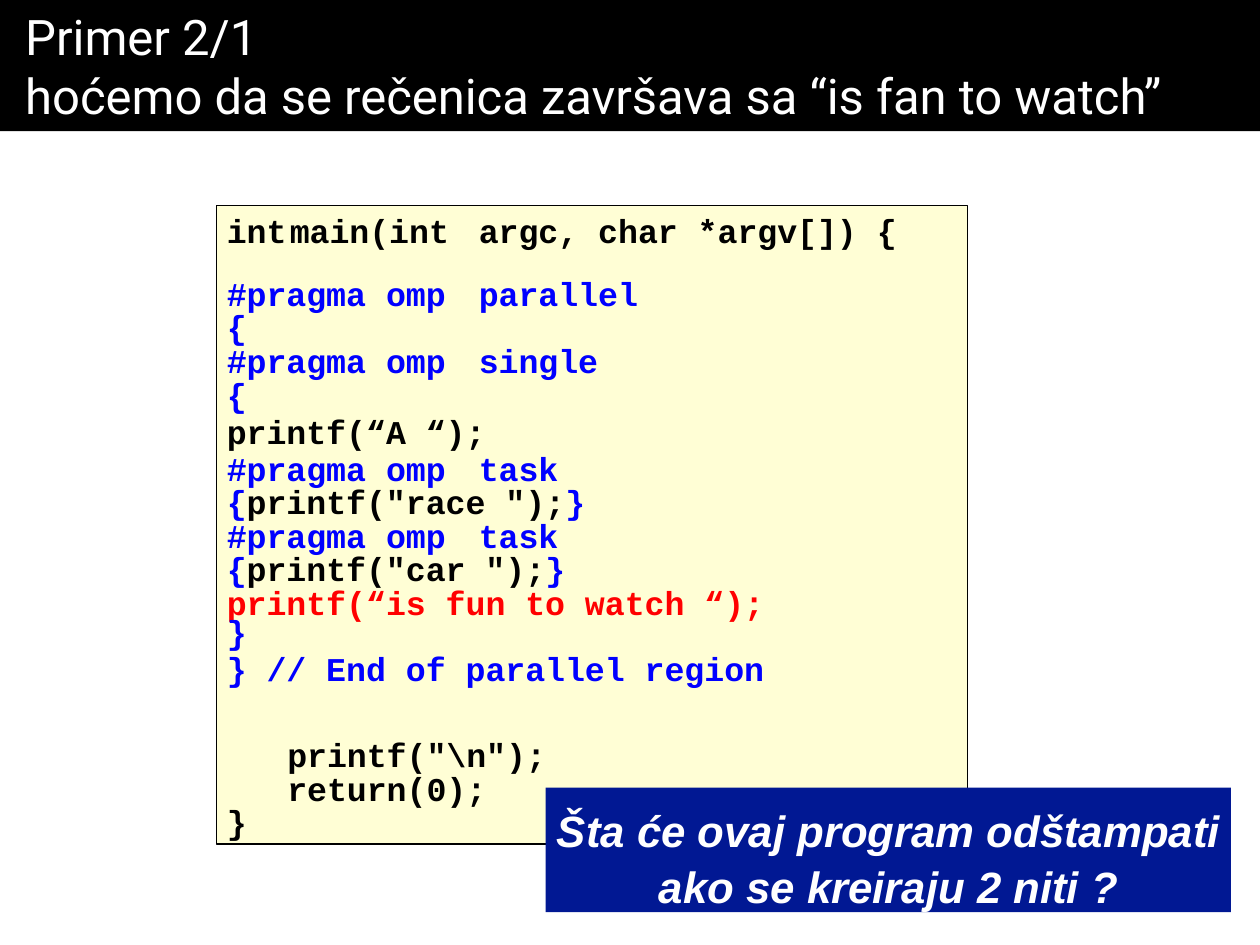
from lxml.etree import SubElement
from pptx import Presentation
from pptx.dml.color import RGBColor
from pptx.enum.shapes import MSO_SHAPE
from pptx.enum.text import MSO_ANCHOR, MSO_AUTO_SIZE, PP_ALIGN
from pptx.oxml.ns import qn
from pptx.util import Inches, Pt

BLACK = RGBColor(0x00, 0x00, 0x00)
WHITE = RGBColor(0xFF, 0xFF, 0xFF)
BLUE = RGBColor(0x00, 0x00, 0xFF)
RED = RGBColor(0xFF, 0x00, 0x00)
CREAM = RGBColor(0xFF, 0xFE, 0xD5)
NAVY = RGBColor(0x01, 0x18, 0x93)

TITLE = "Primer 2/1\vhoćemo da se rečenica završava sa “is fan to watch”"
QUESTION = "Šta će ovaj program odštampati ako se kreiraju 2 niti ?"
CODE_TABS = (0.65, 2.1)

# Each line: runs of (text, colour), line spacing and space before in points
MAIN_CODE = [
    ([("int\tmain(int\targc, char *argv[]) {", BLACK)], None, 0.9),
    ([("#pragma omp\tparallel", BLUE)], 21.2, 14.6),
    ([("{", BLUE)], 19.2, 0),
    ([("#pragma omp\tsingle", BLUE)], 19.2, 0),
    ([("{", BLUE)], 19.2, 0),
    ([("printf(“A “);", BLACK)], 19.2, 2),
    ([("#pragma omp\ttask", BLUE)], 19.2, 2),
    ([("{", BLUE), ('printf("race ");', BLACK), ("}", BLUE)], 19.2, 0),
    ([("#pragma omp\ttask", BLUE)], 19.2, 0),
    ([("{", BLUE), ('printf("car ");', BLACK), ("}", BLUE)], 19.2, 0),
    ([("printf(“is fun to watch “);", RED)], 19.2, 0),
    ([("}", BLUE)], 16.5, 0),
    ([("} // End of parallel region", BLUE)], 21.2, 0),
]
ENDING_CODE = [
    ([('printf("\\n");', BLACK)], 19.2, 4.8),
    ([("return(0);", BLACK)], 19.2, 0),
]
CLOSING_CODE = [([("}", BLACK)], None, 0.9)]

# Each block: lines, position and size, top inset
CODE_BLOCKS = [
    (MAIN_CODE, (1.79, 1.66, 5.51, 3.81), 0.01),
    (ENDING_CODE, (2.27, 5.8, 2.32, 0.61), 0.08),
    (CLOSING_CODE, (1.79, 6.35, 0.18, 0.33), 0.01),
]


def place(shape, box):
    """Move and size a shape to a box in inches."""
    shape.left, shape.top, shape.width, shape.height = map(Inches, box)


def set_frame(shape, side=0, top=0, bottom=0, anchor=MSO_ANCHOR.TOP):
    """Set wrapping, insets in inches and anchor; return the text frame."""
    frame = shape.text_frame
    frame.word_wrap = True
    frame.auto_size = MSO_AUTO_SIZE.NONE
    frame.margin_left = frame.margin_right = Inches(side)
    frame.margin_top, frame.margin_bottom = Inches(top), Inches(bottom)
    frame.vertical_anchor = anchor
    return frame


def write(paragraph, runs, *, font, size, bold=False, italic=False,
          align=PP_ALIGN.LEFT, line_spacing=None, before=0, indent=0, tabs=()):
    """Fill a paragraph with (text, colour) runs and format it."""
    for text, color in runs:
        first = len(paragraph.runs)
        if "\v" in text:
            paragraph.text = text
        else:
            paragraph.add_run().text = text
        for run in paragraph.runs[first:]:
            run.font.name, run.font.size = font, Pt(size)
            run.font.bold, run.font.italic = bold, italic
            run.font.color.rgb = color
    paragraph.alignment = align
    paragraph.line_spacing = line_spacing
    paragraph.space_before = Pt(before)
    properties = paragraph._p.get_or_add_pPr()
    properties.set("marL", str(Inches(indent)))
    properties.set("indent", "0")
    if tabs:
        tab_list = SubElement(properties, qn("a:tabLst"))
        for position in tabs:
            SubElement(tab_list, qn("a:tab"), pos=str(Inches(position)), algn="l")


def add_panel(slide, box, fill, line=None):
    """Add a flat rectangle with an optional thin outline."""
    panel = slide.shapes.add_shape(MSO_SHAPE.RECTANGLE, *map(Inches, box))
    panel.shadow.inherit = False
    panel.fill.solid()
    panel.fill.fore_color.rgb = fill
    if line is None:
        panel.line.fill.background()
    else:
        panel.line.color.rgb = line
        panel.line.width = Pt(0.74)
    return panel


def add_code(slide, lines, box, top):
    """Add a text box holding lines of code."""
    frame = set_frame(slide.shapes.add_textbox(*map(Inches, box)), top=top)
    for index, (runs, spacing, before) in enumerate(lines):
        paragraph = frame.add_paragraph() if index else frame.paragraphs[0]
        write(paragraph, runs, font="Courier New", size=19, bold=True,
              line_spacing=Pt(spacing) if spacing else None,
              before=before, indent=0.01, tabs=CODE_TABS)


presentation = Presentation()
presentation.slide_width, presentation.slide_height = Inches(10), Inches(7.5)
slide = presentation.slides.add_slide(presentation.slide_layouts[5])

title = slide.shapes.title
place(title, (0, 0, 10, 1.04))
title.fill.solid()
title.fill.fore_color.rgb = BLACK
title_frame = set_frame(title, 0.2, 0.05, 0.05, MSO_ANCHOR.MIDDLE)
write(title_frame.paragraphs[0], [(TITLE, WHITE)], font="Roboto", size=28)

add_panel(slide, (1.72, 1.63, 5.96, 5.07), CREAM, BLACK)
for lines, box, top in CODE_BLOCKS:
    add_code(slide, lines, box, top)

question = add_panel(slide, (4.33, 6.25, 5.44, 0.99), NAVY)
question_frame = set_frame(question, top=0.1)
write(question_frame.paragraphs[0], [(QUESTION, WHITE)], font="Arial", size=25,
      bold=True, italic=True, align=PP_ALIGN.CENTER, line_spacing=1.07, before=7.1)

presentation.save("out.pptx")
